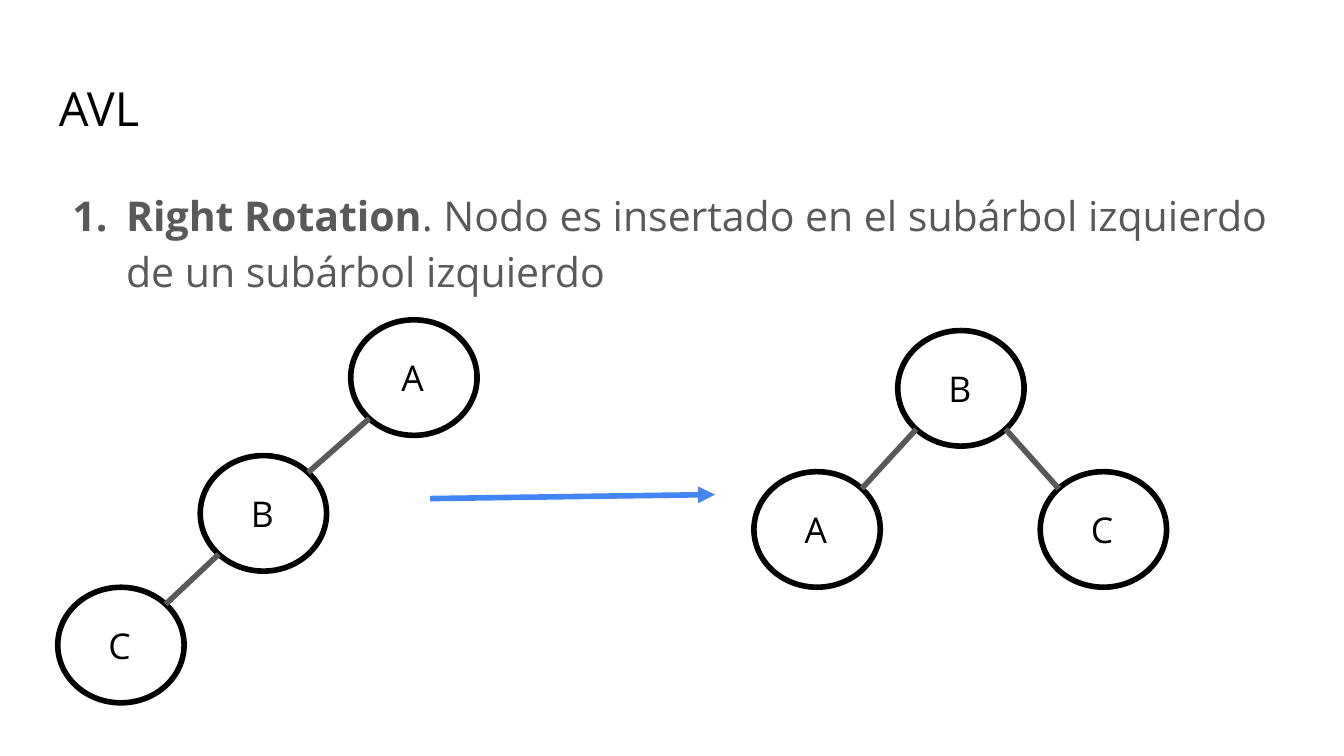
"""Builds a slide that shows the right rotation of an AVL tree."""
from lxml import etree
from pptx import Presentation, util as u
from pptx.dml.color import RGBColor
from pptx.enum import shapes, text
from pptx.oxml import ns

INK, GREY, BLUE = "000000", "595959", "4285F4"
WIDE, HIGH = 0.94, 0.86


def paint(part, color):
    if hasattr(part, "solid"):
        part.solid()
        part = part.fore_color
    else:
        part = part.color
    part.rgb = RGBColor.from_string(color)


def link(start, end, color):
    points = [u.Inches(n) for n in (*start, *end)]
    line = slide.shapes.add_connector(shapes.MSO_CONNECTOR.STRAIGHT, *points)
    line.line.width = u.Pt(3)
    paint(line.line, color)
    etree.SubElement(line._element.spPr, ns.qn("a:effectLst"))
    return line


deck = Presentation()
deck.slide_width, deck.slide_height = u.Inches(10), u.Inches(10 * 9 / 16)
slide = deck.slides.add_slide(deck.slide_layouts[6])

paras = []
for top, high, size, color in ((0.49, 0.63, 25.2, INK), (1.26, 3.74, 22, GREY)):
    box = slide.shapes.add_textbox(u.Inches(0.34), u.Inches(top), u.Inches(9.32), u.Inches(high))
    frame = box.text_frame
    frame.word_wrap = True
    frame.margin_left = frame.margin_right = u.Inches(0.1)
    frame.margin_top = frame.margin_bottom = u.Inches(0.1)
    para = frame.paragraphs[0]
    para.font.name, para.font.size = "Open Sans", u.Pt(size)
    paint(para.font, color)
    paras.append(para)

title, body = paras
title.add_run().text = "AVL"
for words, bold in (
    ("Right Rotation", True),
    (". Nodo es insertado en el subárbol izquierdo de un subárbol izquierdo", False),
):
    run = body.add_run()
    run.text, run.font.bold = words, bold

body.line_spacing = 1.15
props = body._p.get_or_add_pPr()
props.set("marL", str(u.Inches(0.5)))
props.set("indent", str(u.Inches(-0.4)))
tint = etree.Element(ns.qn("a:buClr"))
etree.SubElement(tint, ns.qn("a:srgbClr"), val=GREY)
count = etree.Element(ns.qn("a:buAutoNum"), type="arabicPeriod")
last = props.find(ns.qn("a:defRPr"))
last.addprevious(tint)
last.addprevious(count)

trees = (
    (("A", 2.61, 2.38), ("B", 1.49, 3.39), ("C", 0.43, 4.37)),
    (("B", 6.68, 2.46), ("A", 5.61, 3.51), ("C", 7.74, 3.51)),
)
for tree in trees:
    for name, left, top in tree:
        node = slide.shapes.add_shape(
            shapes.MSO_SHAPE.OVAL, u.Inches(left), u.Inches(top), u.Inches(WIDE), u.Inches(HIGH))
        node.shadow.inherit = False
        paint(node.fill, "FFFFFF")
        paint(node.line, INK)
        node.line.width = u.Pt(3)
        frame = node.text_frame
        frame.vertical_anchor = text.MSO_ANCHOR.MIDDLE
        frame.margin_left, frame.margin_right = u.Inches(0.24), u.Inches(0.1)
        frame.margin_top = frame.margin_bottom = u.Inches(0.1)
        para = frame.paragraphs[0]
        para.alignment = text.PP_ALIGN.LEFT
        para.font.name, para.font.size = "Open Sans", u.Pt(19)
        paint(para.font, INK)
        para.add_run().text = name

arrow = link((3.2, 3.71), (5.32, 3.68), BLUE)
etree.SubElement(arrow.line._get_or_add_ln(), ns.qn("a:tailEnd"), type="triangle")

(first, mid, low), (root, west, east) = trees
dx, dy = WIDE / 8 ** 0.5, HIGH / 8 ** 0.5
for above, below in ((first, mid), (mid, low), (root, west), (root, east)):
    side = 1 if below[1] > above[1] else -1
    start = above[1] + WIDE / 2 + side * dx, above[2] + HIGH / 2 + dy
    end = below[1] + WIDE / 2 - side * dx, below[2] + HIGH / 2 - dy
    link(start, end, GREY)

deck.save("out.pptx")
